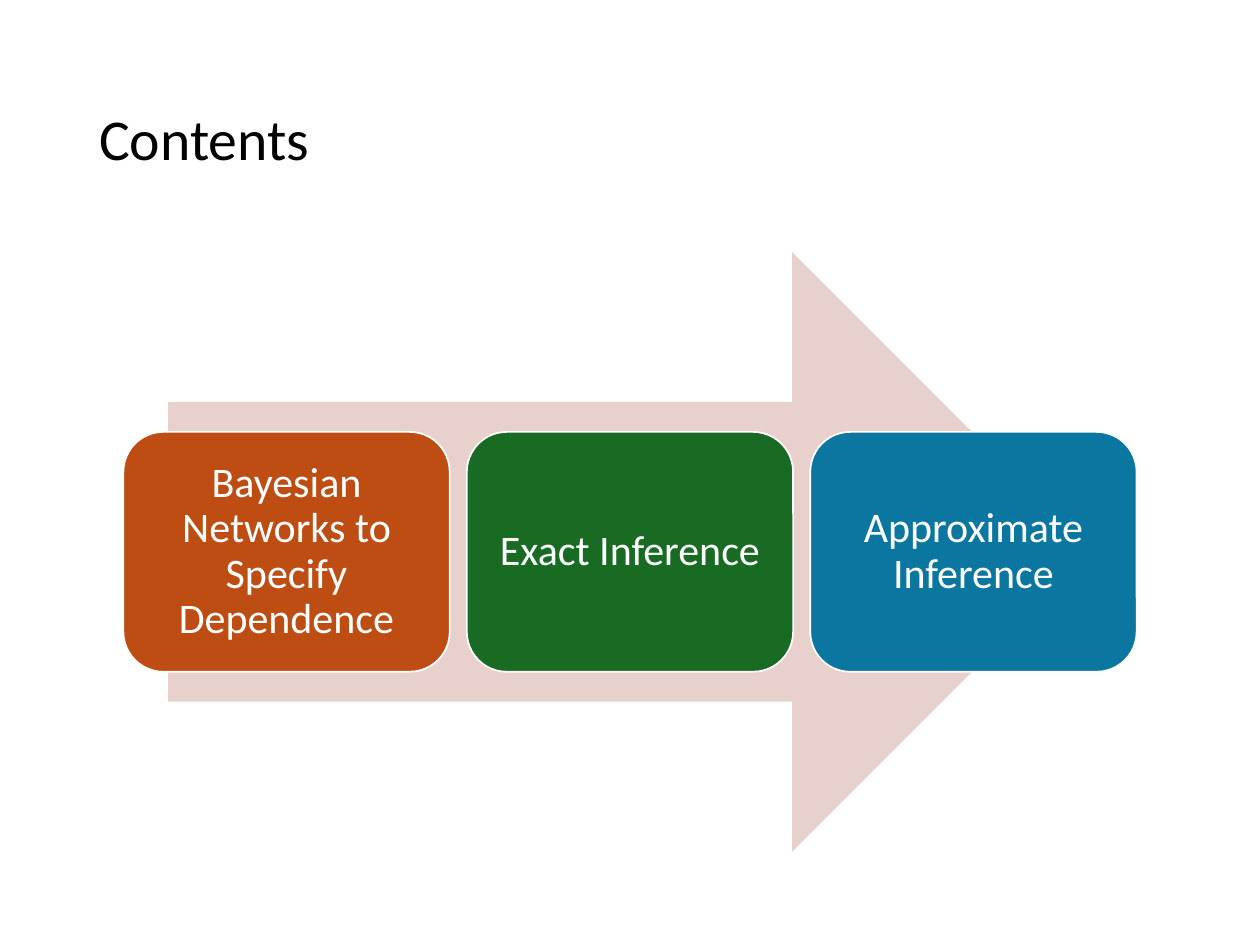
from pptx import Presentation
from pptx.dml.color import RGBColor
from pptx.enum.shapes import MSO_SHAPE
from pptx.enum.text import MSO_ANCHOR, PP_ALIGN
from pptx.util import Pt

COLORS = {"ink": "000000", "white": "FFFFFF", "arrow": "E8D0CC",
          "rust": "BE4D14", "green": "196B24", "blue": "0B769F"}
TITLE = "Contents"
STEPS = [("Bayesian Networks to Specify Dependence", "rust"),
         ("Exact Inference", "green"),
         ("Approximate Inference", "blue")]

WIDTH, HEIGHT = 720, 540
ARROW = (96, 144, 528, 342.7)
STEP_W, GAP = 186.5, 9.75
STEP_H = ARROW[3] * 0.4
INSET = Pt(7.2)
FRAME = {"word_wrap": True, "vertical_anchor": MSO_ANCHOR.MIDDLE,
         "margin_left": INSET, "margin_right": INSET,
         "margin_top": INSET, "margin_bottom": INSET}


def color(name):
    return RGBColor.from_string(COLORS[name])


def write(shape, text, size, ink, align, frame):
    for key, value in frame.items():
        setattr(shape.text_frame, key, value)
    para = shape.text_frame.paragraphs[0]
    para.text = text
    para.alignment, para.line_spacing = align, 0.9
    font = para.runs[0].font
    font.name, font.size = "Calibri", Pt(size)
    font.color.rgb = color(ink)


def add_shape(slide, kind, box, fill):
    shape = slide.shapes.add_shape(kind, *map(Pt, box))
    shape.shadow.inherit = False
    shape.fill.solid()
    shape.fill.fore_color.rgb = color(fill)
    return shape


def main():
    deck = Presentation()
    deck.slide_width, deck.slide_height = Pt(WIDTH), Pt(HEIGHT)
    slide = deck.slides.add_slide(deck.slide_layouts[5])

    title = slide.shapes.title
    title.left, title.top, title.width, title.height = map(Pt, (49.5, 28.75, 621, 104.4))
    write(title, TITLE, 33, "ink", PP_ALIGN.LEFT,
          {"word_wrap": True, "vertical_anchor": MSO_ANCHOR.MIDDLE})

    add_shape(slide, MSO_SHAPE.RIGHT_ARROW, ARROW, "arrow").line.fill.background()

    pitch = STEP_W + GAP
    left = (WIDTH - len(STEPS) * pitch + GAP) / 2
    top = ARROW[1] + (ARROW[3] - STEP_H) / 2
    for i, (text, fill) in enumerate(STEPS):
        box = (left + i * pitch, top, STEP_W, STEP_H)
        step = add_shape(slide, MSO_SHAPE.ROUNDED_RECTANGLE, box, fill)
        step.line.color.rgb = color("white")
        step.line.width = Pt(1)
        write(step, text, 24, "white", PP_ALIGN.CENTER, FRAME)

    deck.save("out.pptx")


if __name__ == "__main__":
    main()
